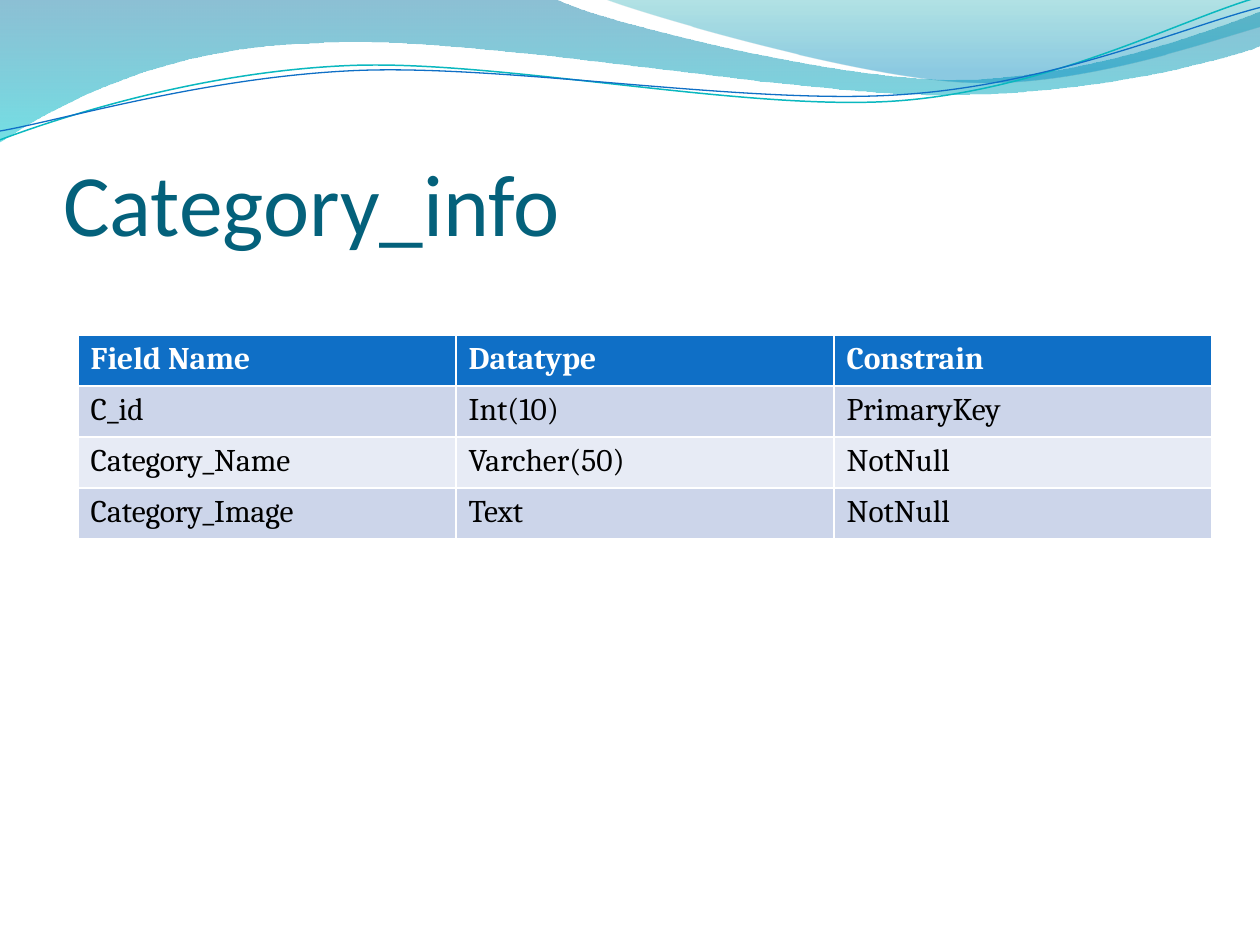
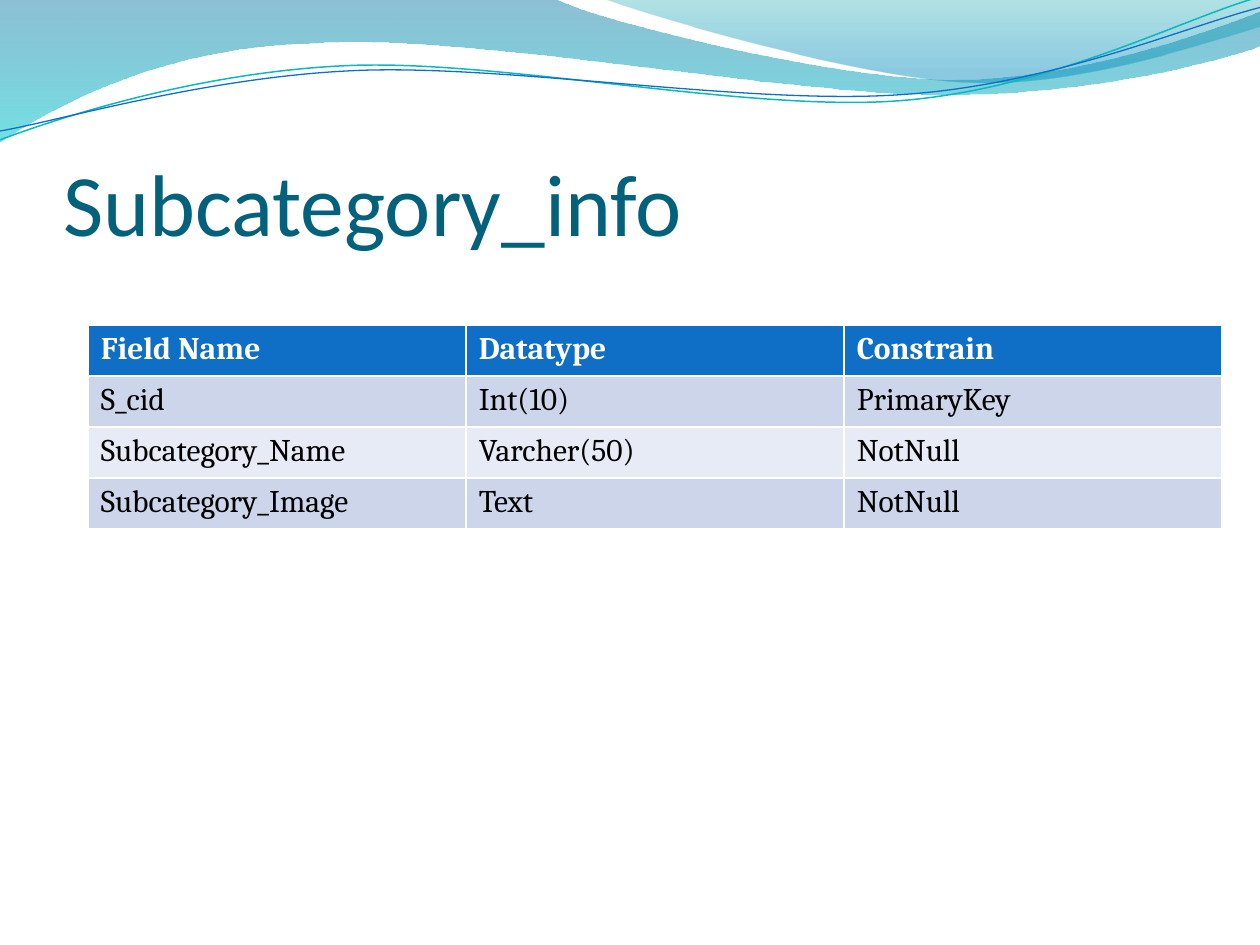
import dataclasses
import math

import lxml.etree
import pptx
import pptx.dml.color
import pptx.enum.text
import pptx.oxml.ns
import pptx.util

Inches = pptx.util.Inches
Pt = pptx.util.Pt
qn = pptx.oxml.ns.qn

HEADINGS = ("Field Name", "Datatype", "Constrain")
ENTITIES = [
    {
        "title": "Category_info",
        "table_at": (0.62, 2.66),
        "fields": [
            ("C_id", "Int(10)", "PrimaryKey"),
            ("Category_Name", "Varcher(50)", "NotNull"),
            ("Category_Image", "Text", "NotNull"),
        ],
    },
    {
        "title": "Subcategory_info",
        "table_at": (0.7, 2.58),
        "fields": [
            ("S_cid", "Int(10)", "PrimaryKey"),
            ("Subcategory_Name", "Varcher(50)", "NotNull"),
            ("Subcategory_Image", "Text", "NotNull"),
        ],
    },
]

# Outlines: a start point, then steps of one point (straight) or three (cubic curve).
# Gradient stops: position, colour, opacity in percent.
# Strokes are tilted about their pivot.
WAVES = [
    {
        "start": (0, 0),
        "steps": [
            [(4.4, -0.01)],
            [(4.76, 0.17), (6.64, 0.63), (7.58, 0.63)],
            [(8.53, 0.63), (9.58, 0.26), (10, 0.09)],
            [(10.01, 0.36)],
            [(9.83, 0.44), (8.7, 0.76), (7.46, 0.75)],
            [(6.22, 0.75), (3.82, 0.28), (2.57, 0.34)],
            [(1.29, 0.36), (0.46, 0.83), (-0.01, 1.13)],
            [(0, 0)],
        ],
        "gradient": [(0, "0074A1", 45), (1, "00C6CF", 55)],
    },
    {
        "start": (4.79, -0.01),
        "steps": [
            [(5.09, 0.11), (6.82, 0.62), (7.69, 0.65)],
            [(8.56, 0.69), (9.61, 0.32), (10, 0.21)],
            [(10, 0)],
            [(4.79, -0.01)],
        ],
        "gradient": [(0, "00A1A9", 30), (0.8, "008BBF", 45)],
    },
    {
        "start": (0, 1.11),
        "steps": [
            [(0.48, 0.93), (1.58, 0.57), (2.77, 0.52)],
            [(3.95, 0.47), (5.93, 0.89), (7.13, 0.8)],
            [(8.33, 0.71), (9.38, 0.15), (9.98, -0.02)],
        ],
        "stroke": ("0AB8BF", 0.85),
        "pivot": (4.99, 0.58),
    },
    {
        "start": (0, 1.04),
        "steps": [
            [(0.47, 0.96), (1.64, 0.61), (2.83, 0.56)],
            [(4.03, 0.51), (5.97, 0.84), (7.17, 0.75)],
            [(8.36, 0.67), (9.41, 0.21), (10, 0.06)],
        ],
        "stroke": ("0F6FC6", 0.75),
        "pivot": (5, 0.59),
    },
]


@dataclasses.dataclass(frozen=True)
class Theme:
    title_color: str = "04617B"
    header_fill: str = "0F6FC6"
    row_fills: tuple = ("CCD5EA", "E7EBF5")
    header_text: str = "FFFFFF"
    body_text: str = "000000"
    title_font: str = "Calibri"
    table_font: str = "Cambria"
    title_size: float = 50
    table_size: float = 18


THEME = Theme()
COLUMN_WIDTH = 3
TABLE_HEIGHT = 1.62
TILT = -2.7


def rgb(color):
    return pptx.dml.color.RGBColor.from_string(color)


def write(frame, text, *, size, font, color, bold=False):
    paragraph = frame.paragraphs[0]
    paragraph.alignment = pptx.enum.text.PP_ALIGN.LEFT
    run = paragraph.add_run()
    run.text = text
    run.font.size = Pt(size)
    run.font.name = font
    run.font.bold = bold
    run.font.color.rgb = rgb(color)


def untilt(point, pivot):
    """Turn a point back by TILT, so that rotating the finished shape restores it."""
    angle = math.radians(-TILT)
    dx, dy = point[0] - pivot[0], point[1] - pivot[1]
    return (
        pivot[0] + dx * math.cos(angle) - dy * math.sin(angle),
        pivot[1] + dx * math.sin(angle) + dy * math.cos(angle),
    )


def bend(shape, steps):
    """Join the three straight segments of each curved step into one cubic curve."""
    segments = iter(list(shape.element.iter(qn("a:lnTo"))))
    for step in steps:
        parts = [next(segments) for _ in step]
        if len(parts) == 3:
            curve = lxml.etree.Element(qn("a:cubicBezTo"))
            parts[0].addprevious(curve)
            for part in parts:
                curve.append(part[0])
                part.getparent().remove(part)


def fill_gradient(shape, stops):
    shape.fill.gradient()
    shape.fill.gradient_angle = 270
    for stop, (position, color, _) in zip(shape.fill.gradient_stops, stops):
        stop.position = position
        stop.color.rgb = rgb(color)
    for node, (_, _, opacity) in zip(shape.element.iter(qn("a:srgbClr")), stops):
        lxml.etree.SubElement(node, qn("a:alpha"), val=str(opacity * 1000))


def add_waves(slide):
    """Draw the waves and move them to the layout, which every slide shares."""
    for wave in WAVES:
        points = [wave["start"], *(point for step in wave["steps"] for point in step)]
        if "pivot" in wave:
            points = [untilt(point, wave["pivot"]) for point in points]
        start, *rest = [(Inches(x), Inches(y)) for x, y in points]
        builder = slide.shapes.build_freeform(*start)
        builder.add_line_segments(rest, close="gradient" in wave)
        shape = builder.convert_to_shape()
        bend(shape, wave["steps"])
        shape.shadow.inherit = False
        if "gradient" in wave:
            shape.line.fill.background()
            fill_gradient(shape, wave["gradient"])
        else:
            color, width = wave["stroke"]
            shape.fill.background()
            shape.line.color.rgb = rgb(color)
            shape.line.width = Pt(width)
            shape.rotation = TILT
        slide.slide_layout.shapes.element.append(shape.element)


def add_title(slide, text):
    title = slide.shapes.title
    title.left, title.top = Inches(0.5), Inches(0.77)
    title.width, title.height = Inches(9), Inches(1.25)
    frame = title.text_frame
    frame.auto_size = pptx.enum.text.MSO_AUTO_SIZE.NONE
    frame.vertical_anchor = pptx.enum.text.MSO_ANCHOR.BOTTOM
    frame.margin_left = frame.margin_right = frame.margin_bottom = 0
    frame.margin_top = Inches(0.05)
    write(frame, text, size=THEME.title_size, font=THEME.title_font, color=THEME.title_color)


def add_field_table(slide, at, fields):
    rows = [HEADINGS, *fields]
    left, top = at
    table = slide.shapes.add_table(
        len(rows), len(HEADINGS), Inches(left), Inches(top),
        Inches(COLUMN_WIDTH * len(HEADINGS)), Inches(TABLE_HEIGHT),
    ).table
    for r, row in enumerate(rows):
        header = r == 0
        fill = THEME.header_fill if header else THEME.row_fills[(r - 1) % 2]
        for c, text in enumerate(row):
            cell = table.cell(r, c)
            cell.fill.solid()
            cell.fill.fore_color.rgb = rgb(fill)
            write(
                cell.text_frame, text, size=THEME.table_size, font=THEME.table_font,
                color=THEME.header_text if header else THEME.body_text, bold=header,
            )


def main():
    deck = pptx.Presentation()
    deck.slide_width, deck.slide_height = Inches(10), Inches(7.5)
    title_only = deck.slide_layouts[5]
    for number, entity in enumerate(ENTITIES):
        slide = deck.slides.add_slide(title_only)
        if number == 0:
            add_waves(slide)
        add_title(slide, entity["title"])
        add_field_table(slide, entity["table_at"], entity["fields"])
    deck.save("out.pptx")


if __name__ == "__main__":
    main()
